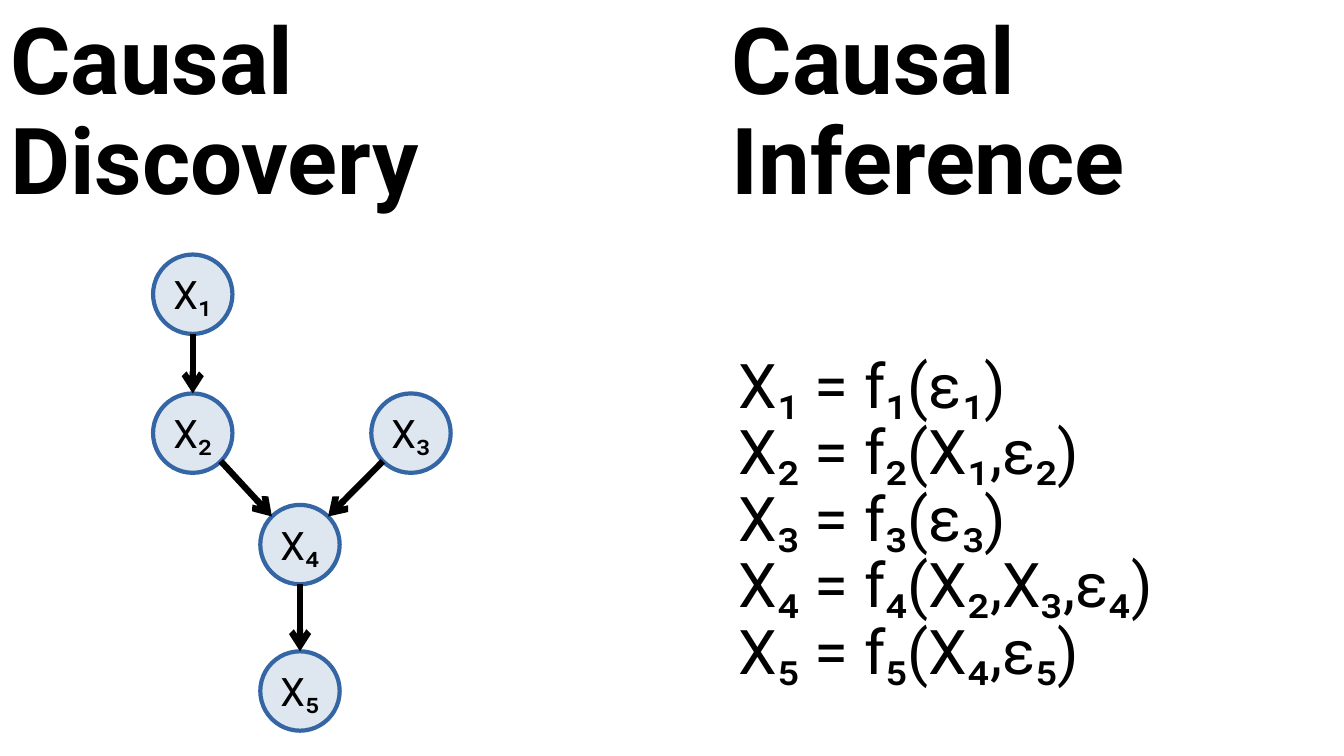
import math

import lxml.etree
import pptx
import pptx.dml.color
import pptx.enum.shapes
import pptx.enum.text
import pptx.oxml.ns
import pptx.util

Pt = pptx.util.Pt
qn = pptx.oxml.ns.qn

NODE_SIZE = 56.7
NODE_CENTRES = {
    "X₁": (137.7, 210.2),
    "X₂": (137.7, 309.4),
    "X₃": (293.6, 309.4),
    "X₄": (214.3, 389),
    "X₅": (214.3, 493.6),
}
# Cause, its connection site, effect, its connection site
EDGES = [
    ("X₁", 4, "X₂", 0),
    ("X₂", 5, "X₄", 1),
    ("X₃", 3, "X₄", 7),
    ("X₄", 4, "X₅", 0),
]
EQUATIONS = [
    "X₁ = f₁(ε₁)",
    "X₂ = f₂(X₁,ε₂)",
    "X₃ = f₃(ε₃)",
    "X₄ = f₄(X₂,X₃,ε₄)",
    "X₅ = f₅(X₄,ε₅)",
]


def colour(hex_code):
    return pptx.dml.color.RGBColor.from_string(hex_code)


def write(shape, paragraphs, size, bold=False, align="LEFT", anchor="TOP",
          line_spacing=1.0, wrap=True):
    frame = shape.text_frame
    frame.word_wrap = wrap
    frame.auto_size = pptx.enum.text.MSO_AUTO_SIZE.NONE
    frame.vertical_anchor = getattr(pptx.enum.text.MSO_ANCHOR, anchor)
    for index, text in enumerate(paragraphs):
        paragraph = frame.add_paragraph() if index else frame.paragraphs[0]
        paragraph.text = text
        paragraph.alignment = getattr(pptx.enum.text.PP_ALIGN, align)
        paragraph.line_spacing = line_spacing
        for run in paragraph.runs:
            run.font.name = "Roboto"
            run.font.size = Pt(size)
            run.font.bold = bold
            run.font.color.rgb = colour("000000")


def place(shape, left, top, width, height):
    shape.left, shape.top = Pt(left), Pt(top)
    shape.width, shape.height = Pt(width), Pt(height)


def add_heading(heading, paragraphs, box):
    place(heading, *box)
    write(heading, paragraphs, size=66, bold=True, anchor="MIDDLE", line_spacing=0.9)


def add_node(slide, label, left, top):
    node = slide.shapes.add_shape(
        pptx.enum.shapes.MSO_SHAPE.OVAL,
        Pt(left), Pt(top), Pt(NODE_SIZE), Pt(NODE_SIZE))
    node.shadow.inherit = False
    node.fill.solid()
    node.fill.fore_color.rgb = colour("DEE6EF")
    node.line.color.rgb = colour("3465A4")
    node.line.width = Pt(3)
    write(node, [label], size=28, align="CENTER", anchor="MIDDLE", wrap=False)
    return node


def site_point(centre, site):
    """Point of an oval's connection site, counted anticlockwise from the top."""
    angle = math.radians(45 * site)
    radius = NODE_SIZE / 2
    return (Pt(centre[0] - radius * math.sin(angle)),
            Pt(centre[1] - radius * math.cos(angle)))


def add_arrow(slide, start, end, joins):
    arrow = slide.shapes.add_connector(
        pptx.enum.shapes.MSO_CONNECTOR.STRAIGHT, *start, *end)
    arrow.line.color.rgb = colour("000000")
    arrow.line.width = Pt(4.5)
    properties = arrow._element.spPr
    line = properties.find(qn("a:ln"))
    lxml.etree.SubElement(line, qn("a:tailEnd"), type="arrow")
    lxml.etree.SubElement(properties, qn("a:effectLst"))
    # Ovals have eight sites, more than begin_connect can address
    connections = arrow._element.find(".//" + qn("p:cNvCxnSpPr"))
    for tag, (node, site) in zip(("a:stCxn", "a:endCxn"), joins):
        lxml.etree.SubElement(
            connections, qn(tag), id=str(node.shape_id), idx=str(site))


def add_causal_graph(slide, left, top):
    centres = {label: (left + x, top + y) for label, (x, y) in NODE_CENTRES.items()}
    nodes = {label: add_node(slide, label, x - NODE_SIZE / 2, y - NODE_SIZE / 2)
             for label, (x, y) in centres.items()}
    for cause, cause_site, effect, effect_site in EDGES:
        add_arrow(slide,
                  site_point(centres[cause], cause_site),
                  site_point(centres[effect], effect_site),
                  [(nodes[cause], cause_site), (nodes[effect], effect_site)])


def add_equations(slide, left, top, width, height):
    equations = slide.shapes.add_textbox(Pt(left), Pt(top), Pt(width), Pt(height))
    write(equations, ["\v".join(EQUATIONS)], size=44, line_spacing=0.9)


def add_causal_slide(deck):
    slide = deck.slides.add_slide(deck.slide_layouts[5])
    add_heading(slide.shapes.title, ["Causal\vDiscovery"], (0, 1.5, 480, 160.5))
    add_causal_graph(slide, 0, 0)
    inference = slide.shapes.add_textbox(0, 0, 0, 0)
    add_heading(inference, ["Causal", "Inference"], (515.5, 1.5, 444.5, 160.5))
    add_equations(slide, 520.5, 250, 439.5, 290)


def main():
    deck = pptx.Presentation()
    deck.slide_width, deck.slide_height = Pt(960), Pt(540)
    add_causal_slide(deck)
    deck.save("out.pptx")


if __name__ == "__main__":
    main()
